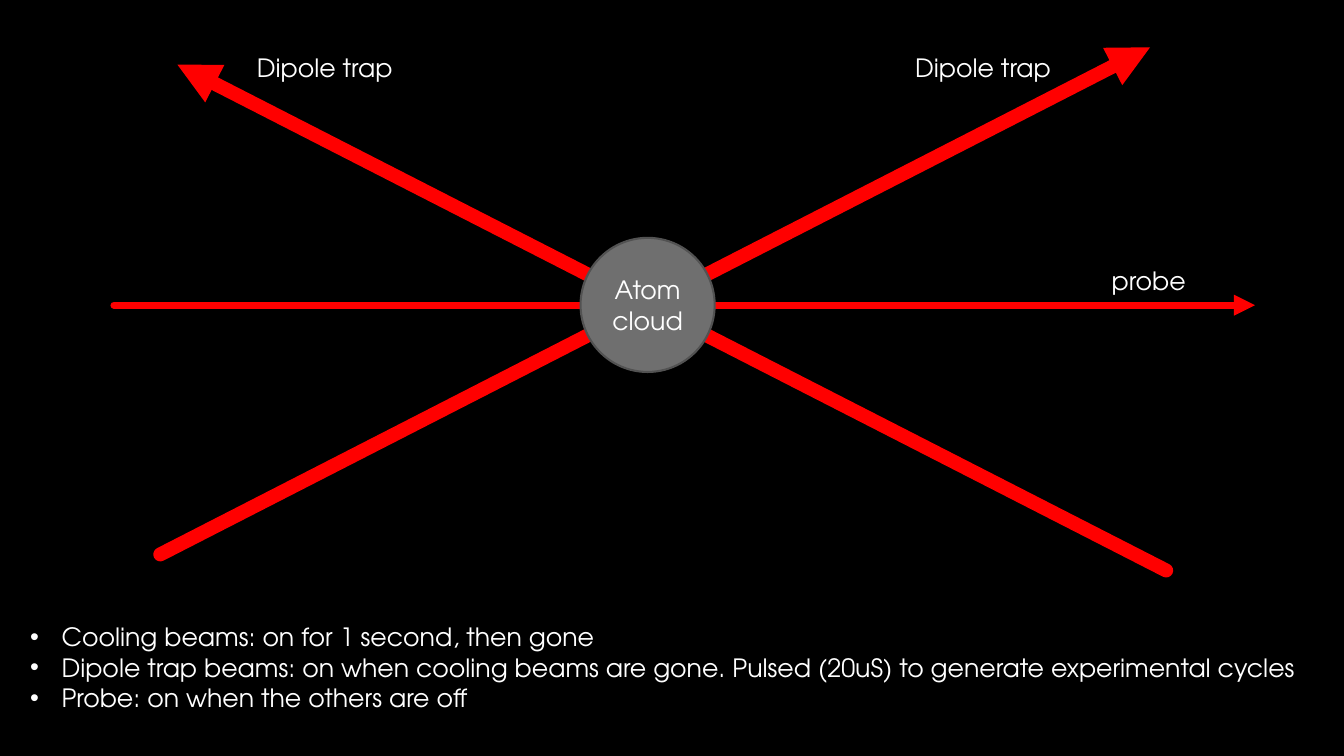
import pptx
import pptx.util
import pptx.dml.color
import pptx.enum.shapes
import pptx.enum.text
import pptx.oxml
import pptx.oxml.ns
import lxml.etree

Pt = pptx.util.Pt
RGB = pptx.dml.color.RGBColor.from_string
qn = pptx.oxml.ns.qn
ALIGN = pptx.enum.text.PP_ALIGN

# Content: lengths in points
BEAMS = [  # start x, y, end x, y, width
    (81.4, 218, 896.4, 218, 5),
    (114.5, 396, 821.5, 33.8, 10),
    (833, 407.5, 126.7, 46.1, 10),
]
CLOUD = ("Atom cloud", 414.7, 169.9, 95.8)
NOTES = [
    "Cooling beams: on for 1 second, then gone",
    "Dipole trap beams: on when cooling beams are gone. "
    "Pulsed (20uS) to generate experimental cycles",
    "Probe: on when the others are off",
]
LABELS = [  # text, left, top, width
    ("probe", 787, 185.8, 68.4),
    ("Dipole trap", 646.6, 33.8, 113),
    ("Dipole trap", 176.4, 33.8, 113),
]
THEME = {
    "back": RGB("000000"), "beam": RGB("FF0000"), "text": RGB("FFFFFF"),
    "cloud": RGB("6F6F6F"), "rim": RGB("525252"),
    "font": {"name": "TeX Gyre Adventor", "size": Pt(18)},
}
INDENT = Pt(22.5)


def add_xml(parent, tag, **attrs):
    return lxml.etree.SubElement(parent, qn(tag), attrs)


def write(tf, lines, align=ALIGN.LEFT):
    for i, line in enumerate(lines):
        p = tf.add_paragraph() if i else tf.paragraphs[0]
        p.alignment = align
        r = p.add_run()
        r.text = line
        for key, value in THEME["font"].items():
            setattr(r.font, key, value)
        r.font.color.rgb = THEME["text"]


def add_text(s, lines, left, top, width, height):
    tf = s.shapes.add_textbox(Pt(left), Pt(top), Pt(width), Pt(height)).text_frame
    tf.word_wrap = False
    tf.auto_size = pptx.enum.text.MSO_AUTO_SIZE.SHAPE_TO_FIT_TEXT
    write(tf, lines)
    return tf


# Slide
prs = pptx.Presentation()
prs.slide_width, prs.slide_height = Pt(960), Pt(540)
s = prs.slides.add_slide(prs.slide_layouts[6])
s.background.fill.solid()
s.background.fill.fore_color.rgb = THEME["back"]

# Beams
for *ends, width in BEAMS:
    beam = s.shapes.add_connector(
        pptx.enum.shapes.MSO_CONNECTOR.STRAIGHT, *map(Pt, ends))
    beam.line.width = Pt(width)
    beam.line.color.rgb = THEME["beam"]
    ln = beam.line._get_or_add_ln()
    ln.set("cap", "rnd")
    add_xml(ln, "a:tailEnd", type="triangle")
    add_xml(beam._element.spPr, "a:effectLst")

# Atom cloud
name, left, top, size = CLOUD
sp = s.shapes.add_shape(pptx.enum.shapes.MSO_SHAPE.OVAL,
                        Pt(left), Pt(top), Pt(size), Pt(size))
sp.shadow.inherit = False
sp.fill.solid()
sp.fill.fore_color.rgb = THEME["cloud"]
sp.line.color.rgb = THEME["rim"]
sp.line.width = Pt(1.5)
sp.text_frame.vertical_anchor = pptx.enum.text.MSO_ANCHOR.MIDDLE
write(sp.text_frame, [name], ALIGN.CENTER)

# Bulleted notes
for p in add_text(s, NOTES, 14.4, 440.6, 931.7, 72.7).paragraphs:
    pPr = p._p.get_or_add_pPr()
    pPr.set("marL", str(INDENT))
    pPr.set("indent", str(-INDENT))
    add_xml(pPr, "a:buFont", typeface="Arial")
    add_xml(pPr, "a:buChar", char="•")

# Beam labels
for text, left, top, width in LABELS:
    add_text(s, [text], left, top, width, 29)

prs.save("out.pptx")
